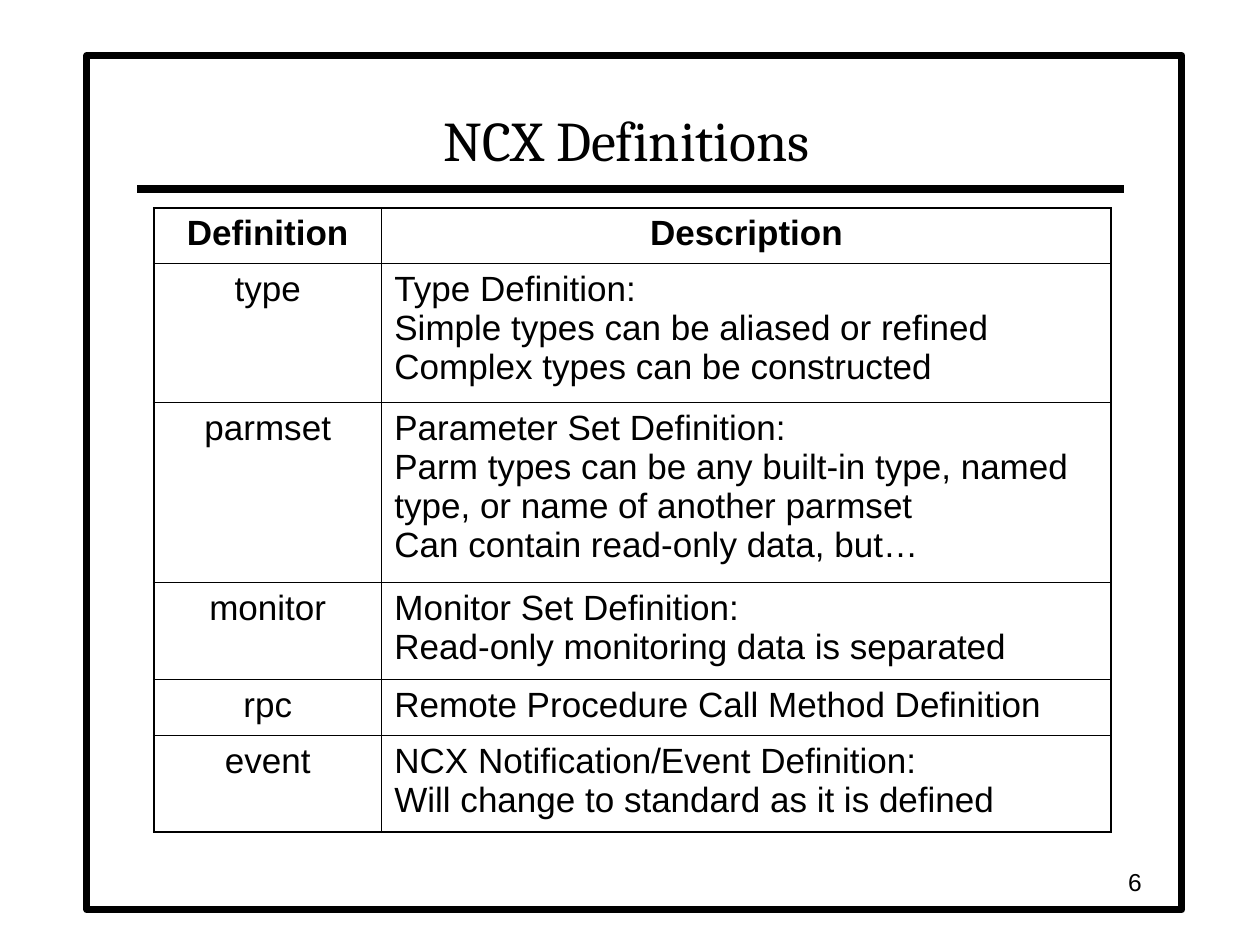
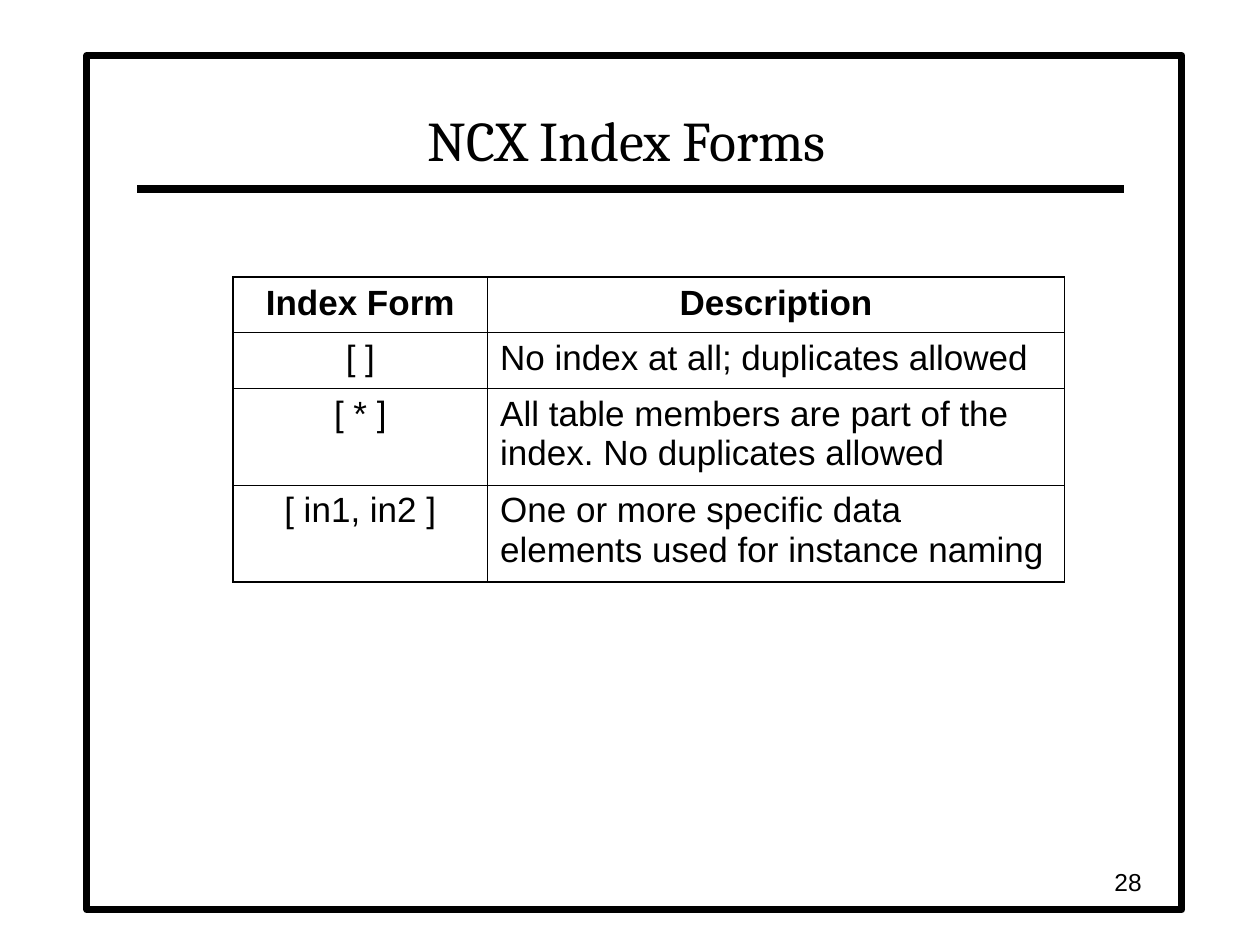
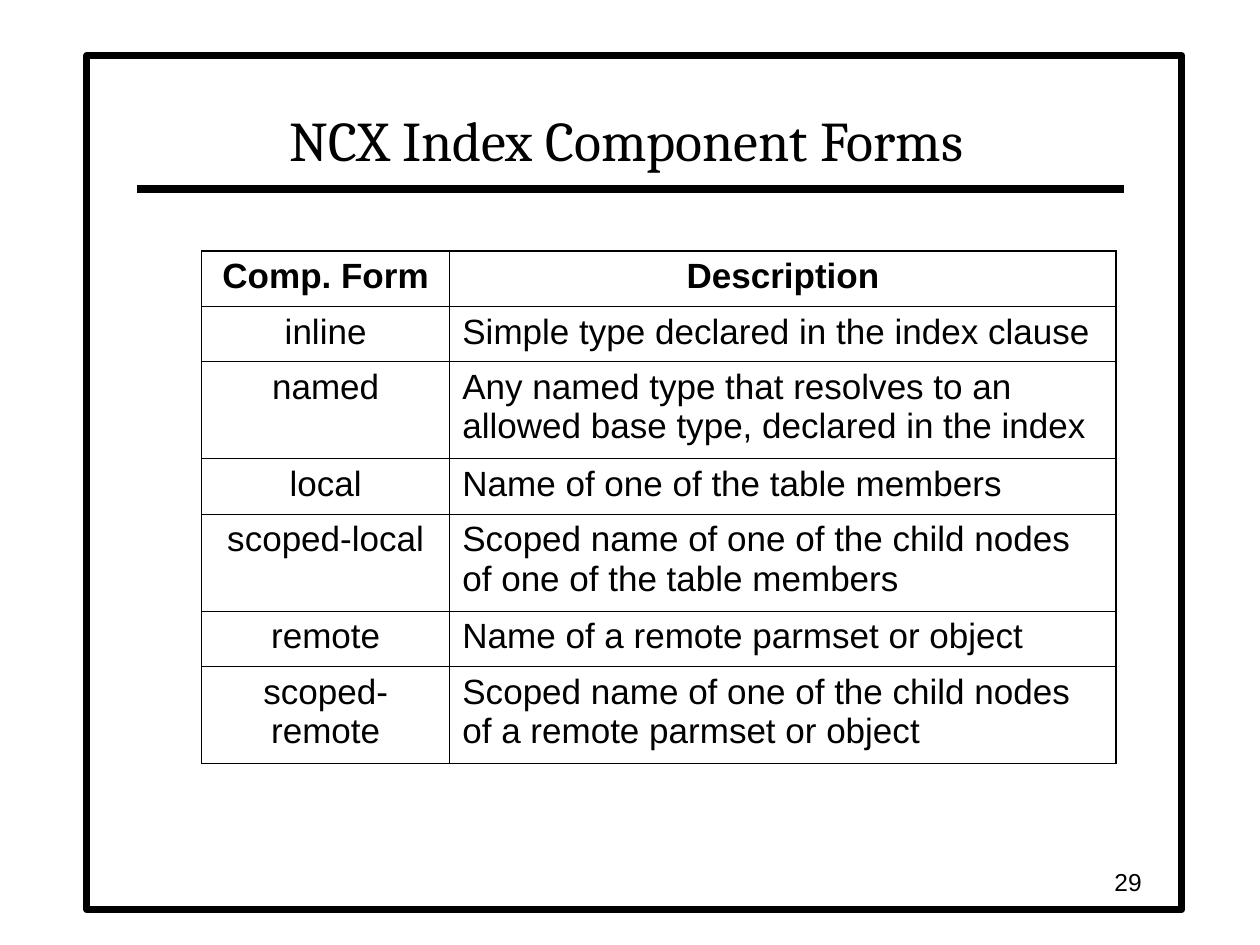
import pptx
import pptx.dml.color
import pptx.enum.shapes
import pptx.enum.text
import pptx.oxml
import pptx.oxml.ns
import pptx.util
from pptx.util import Inches

BLACK = pptx.dml.color.RGBColor(0x00, 0x00, 0x00)
WHITE = pptx.dml.color.RGBColor(0xFF, 0xFF, 0xFF)
ALIGN = pptx.enum.text.PP_ALIGN
ANCHOR = pptx.enum.text.MSO_ANCHOR
TITLE_FONT = {"name": "Cambria", "size": pptx.util.Pt(32), "bold": False}
HEADER_FONT = {"name": "Arial", "size": pptx.util.Pt(20), "bold": True}
CELL_FONT = {"name": "Arial", "size": pptx.util.Pt(20), "bold": False}
NUMBER_FONT = {"name": "Arial", "size": pptx.util.Pt(14), "bold": False}
OUTER_BORDER = pptx.util.Pt(1.08)
INNER_BORDER = pptx.util.Pt(0.45)
ONE_LINE_ROW = 0.44
EXTRA_LINE = 0.33

PAGES = [
    {
        "title": "NCX Definitions",
        "number": "6",
        "corner": (1.22, 1.65),
        "columns": (1.81, 5.79),
        "rows": [
            ("Definition", "Description", 1),
            ("type", "Type Definition:\vSimple types can be aliased or refined\v"
                     "Complex types can be constructed", 3),
            ("parmset", "Parameter Set Definition:\vParm types can be any built-in type, named "
                        "type, or name of another parmset\vCan contain read-only data, but…", 4),
            ("monitor", "Monitor Set Definition:\vRead-only monitoring data is separated", 2),
            ("rpc", "Remote Procedure Call Method Definition", 1),
            ("event", "NCX Notification/Event Definition:\v"
                      "Will change to standard as it is defined", 2),
        ],
    },
    {
        "title": "NCX Index Forms",
        "number": "28",
        "corner": (1.85, 2.2),
        "columns": (2.02, 4.58),
        "rows": [
            ("Index Form", "Description", 1),
            ("[ ]", "No index at all; duplicates allowed", 1),
            ("[ * ]", "All table members are part of the index. No duplicates allowed", 2),
            ("[ in1, in2 ]", "One or more specific data elements used for instance naming", 2),
        ],
    },
    {
        "title": "NCX Index Component Forms",
        "number": "29",
        "corner": (1.6, 1.99),
        "columns": (1.97, 5.29),
        "rows": [
            ("Comp. Form", "Description", 1),
            ("inline", "Simple type declared in the index clause", 1),
            ("named", "Any named type that resolves to an allowed base type, "
                      "declared in the index", 2),
            ("local", "Name of one of the table members", 1),
            ("scoped-local", "Scoped name of one of the child nodes "
                             "of one of the table members", 2),
            ("remote", "Name of a remote parmset or object", 1),
            ("scoped-remote", "Scoped name of one of the child nodes "
                              "of a remote parmset or object", 2),
        ],
    },
]


def write_text(frame, text, font, align, anchor):
    frame.word_wrap = True
    frame.vertical_anchor = anchor
    para = frame.paragraphs[0]
    para.text = text
    para.alignment = align
    for span in para.runs:
        for name, value in font.items():
            setattr(span.font, name, value)
        span.font.color.rgb = BLACK


def add_border(cell, side, width):
    namespace = pptx.oxml.ns.nsdecls("a")
    border = pptx.oxml.parse_xml(
        f'<a:{side} {namespace} w="{int(width)}"><a:solidFill>'
        f'<a:srgbClr val="{BLACK}"/></a:solidFill></a:{side}>')
    cell._tc.get_or_add_tcPr().append(border)


deck = pptx.Presentation()
deck.slide_width = Inches(10)
deck.slide_height = Inches(7.5)

for content in PAGES:
    page = deck.slides.add_slide(deck.slide_layouts[6])

    frame = page.shapes.add_shape(
        pptx.enum.shapes.MSO_SHAPE.RECTANGLE,
        Inches(0.69), Inches(0.44), Inches(8.69), Inches(6.78))
    frame.shadow.inherit = False
    frame.fill.solid()
    frame.fill.fore_color.rgb = WHITE
    frame.line.color.rgb = BLACK
    frame.line.width = pptx.util.Pt(4)

    title_rule = page.shapes.add_connector(
        pptx.enum.shapes.MSO_CONNECTOR.STRAIGHT,
        Inches(1.09), Inches(1.5), Inches(8.92), Inches(1.5))
    title_rule.line.color.rgb = BLACK
    title_rule.line.width = pptx.util.Pt(4.5)
    title_rule._element.spPr.append(pptx.oxml.parse_xml(
        f'<a:effectLst {pptx.oxml.ns.nsdecls("a")}/>'))

    title_box = page.shapes.add_textbox(Inches(1.08), Inches(0.5), Inches(7.79), Inches(0.92))
    write_text(title_box.text_frame, content["title"], TITLE_FONT, ALIGN.CENTER, ANCHOR.BOTTOM)

    rows = content["rows"]
    widths = content["columns"]
    heights = [ONE_LINE_ROW + EXTRA_LINE * (lines - 1) for *_, lines in rows]
    left, top = content["corner"]
    table = page.shapes.add_table(
        len(rows), len(widths), Inches(left), Inches(top),
        Inches(sum(widths)), Inches(sum(heights))).table
    table.first_row = False
    table.horz_banding = False
    for column, width in zip(table.columns, widths):
        column.width = Inches(width)

    last_row = len(rows) - 1
    last_column = len(widths) - 1
    for row_index, (term, description, _) in enumerate(rows):
        table.rows[row_index].height = Inches(heights[row_index])
        for column_index, text in enumerate((term, description)):
            cell = table.cell(row_index, column_index)
            is_header = row_index == 0
            centred = is_header or column_index == 0
            write_text(cell.text_frame, text, HEADER_FONT if is_header else CELL_FONT,
                       ALIGN.CENTER if centred else ALIGN.LEFT, ANCHOR.TOP)
            cell.vertical_anchor = ANCHOR.TOP
            outer_sides = {
                "lnL": column_index == 0,
                "lnR": column_index == last_column,
                "lnT": row_index == 0,
                "lnB": row_index == last_row,
            }
            for side, is_outer in outer_sides.items():
                add_border(cell, side, OUTER_BORDER if is_outer else INNER_BORDER)
            cell.fill.background()

    number_box = page.shapes.add_textbox(Inches(7.08), Inches(6.83), Inches(2.08), Inches(0.33))
    write_text(number_box.text_frame, content["number"], NUMBER_FONT, ALIGN.RIGHT, ANCHOR.MIDDLE)

deck.save("out.pptx")
